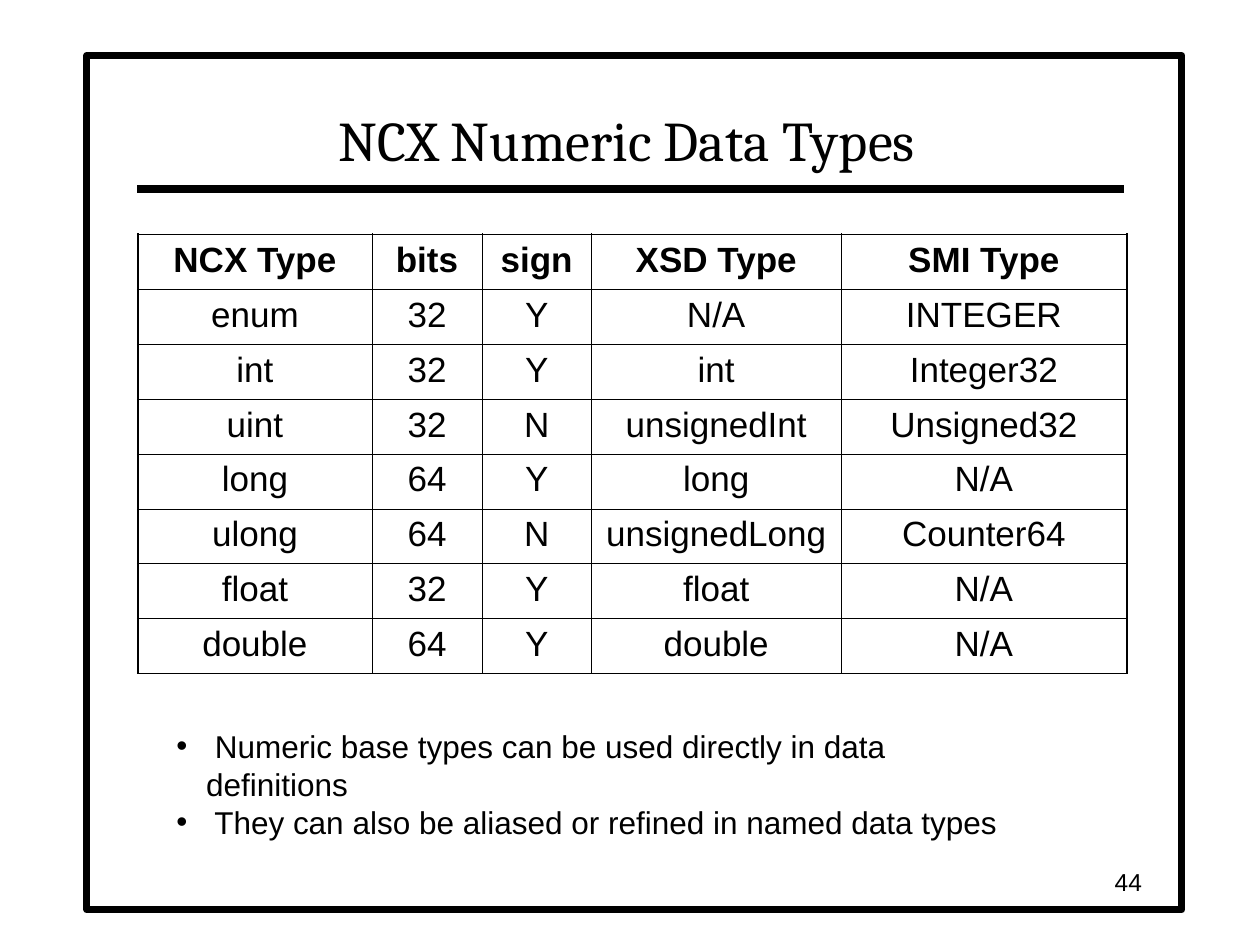
from typing import NamedTuple

from lxml.etree import SubElement
from pptx import Presentation
from pptx.dml.color import RGBColor
from pptx.enum.shapes import MSO_CONNECTOR as Connector, MSO_SHAPE as ShapeKind
from pptx.enum.text import MSO_ANCHOR as Anchor, MSO_AUTO_SIZE as AutoSize, PP_ALIGN as Align
from pptx.oxml.ns import qn
from pptx.util import Pt

COLORS = {"ink": "000000", "paper": "FFFFFF"}
OUTER_BORDER, INNER_BORDER = 1.08, 0.45
ROW_HEIGHT = 31.4


class Box(NamedTuple):
    left: float
    top: float
    width: float
    height: float

    def lengths(self) -> list[Pt]:
        return [Pt(value) for value in self]


class Column(NamedTuple):
    heading: str
    width: float
    values: list[str]


class TextStyle(NamedTuple):
    size: float
    font: str = "Arial"
    align: Align = Align.LEFT
    bold: bool = False


FRAME = Box(49.7, 31.7, 625.7, 488.2)
TITLE = Box(77.8, 36, 560.9, 66.2)
TABLE_LEFT, TABLE_TOP = 78.7, 133.9
NOTES = Box(93.6, 411.8, 494.6, 50.4)
PAGE_NUMBER = Box(509.8, 491.8, 149.8, 23.8)

COLUMNS = [
    Column("NCX Type", 134, ["enum", "int", "uint", "long", "ulong", "float", "double"]),
    Column("bits", 62.7, ["32", "32", "32", "64", "64", "32", "64"]),
    Column("sign", 62.7, ["Y", "Y", "N", "Y", "N", "Y", "Y"]),
    Column("XSD Type", 142.5, ["N/A", "int", "unsignedInt", "long", "unsignedLong", "float", "double"]),
    Column("SMI Type", 163.4, ["INTEGER", "Integer32", "Unsigned32", "N/A", "Counter64", "N/A", "N/A"]),
]
BULLETS = [
    " Numeric base types can be used directly in data definitions",
    " They can also be aliased or refined in named data types",
]


def color(name: str) -> RGBColor:
    return RGBColor.from_string(COLORS[name])


def place(shape, box: Box) -> None:
    shape.left, shape.top, shape.width, shape.height = box.lengths()


def format_text(text_frame, style: TextStyle) -> None:
    for paragraph in text_frame.paragraphs:
        paragraph.alignment = style.align
        paragraph.space_before = Pt(0)
        for run in paragraph.runs:
            run.font.name = style.font
            run.font.size = Pt(style.size)
            run.font.bold = style.bold
            run.font.color.rgb = color("ink")


def draw_frame(slide) -> None:
    """Draw the page border and title rule behind the placeholders."""
    frame = slide.shapes.add_shape(ShapeKind.RECTANGLE, *FRAME.lengths())
    frame.shadow.inherit = False
    frame.fill.solid()
    frame.fill.fore_color.rgb = color("paper")
    frame.line.color.rgb = color("ink")
    frame.line.width = Pt(4)

    rule = slide.shapes.add_connector(Connector.STRAIGHT, Pt(78.5), Pt(108), Pt(642.2), Pt(108))
    rule.line.color.rgb = color("ink")
    rule.line.width = Pt(4.5)
    SubElement(rule._element.spPr, qn("a:effectLst"))

    tree = slide.shapes._spTree
    for index, shape in enumerate((frame, rule), start=2):
        tree.insert(index, shape._element)


def draw_title(slide, text: str) -> None:
    title = slide.shapes.title
    place(title, TITLE)
    title.text_frame.text = text
    title.text_frame.auto_size = AutoSize.NONE
    title.text_frame.vertical_anchor = Anchor.BOTTOM
    format_text(title.text_frame, TextStyle(32, "Cambria", Align.CENTER))


def set_border(cell, side: str, width: float) -> None:
    properties = cell._tc.get_or_add_tcPr()
    line = SubElement(properties, qn(f"a:ln{side}"), w=str(Pt(width)))
    fill = SubElement(line, qn("a:solidFill"))
    SubElement(fill, qn("a:srgbClr"), val=COLORS["ink"])


def draw_type_table(slide) -> None:
    row_count = len(COLUMNS[0].values) + 1
    last_row, last_column = row_count - 1, len(COLUMNS) - 1
    box = Box(TABLE_LEFT, TABLE_TOP, sum(column.width for column in COLUMNS), row_count * ROW_HEIGHT)
    table = slide.shapes.add_table(row_count, len(COLUMNS), *box.lengths()).table
    table.first_row = table.horz_banding = False
    for row in table.rows:
        row.height = Pt(ROW_HEIGHT)
    for column_index, column in enumerate(COLUMNS):
        table.columns[column_index].width = Pt(column.width)
        for row_index, text in enumerate([column.heading, *column.values]):
            cell = table.cell(row_index, column_index)
            cell.text_frame.text = text
            format_text(cell.text_frame, TextStyle(20, align=Align.CENTER, bold=row_index == 0))
            on_edge = {
                "L": column_index == 0,
                "R": column_index == last_column,
                "T": row_index == 0,
                "B": row_index == last_row,
            }
            for side, outer in on_edge.items():
                set_border(cell, side, OUTER_BORDER if outer else INNER_BORDER)
            cell.fill.background()


def add_bullet(paragraph, indent: float) -> None:
    properties = paragraph._p.get_or_add_pPr()
    properties.set("marL", str(Pt(indent)))
    properties.set("indent", str(-Pt(indent)))
    bullet_color = SubElement(properties, qn("a:buClr"))
    SubElement(bullet_color, qn("a:srgbClr"), val=COLORS["ink"])
    SubElement(properties, qn("a:buFont"), typeface="Arial")
    SubElement(properties, qn("a:buChar"), char="•")


def draw_notes(slide) -> None:
    body = slide.placeholders[1]
    place(body, NOTES)
    text_frame = body.text_frame
    text_frame.text = "\n".join(BULLETS)
    text_frame.word_wrap = True
    text_frame.auto_size = AutoSize.NONE
    for paragraph in text_frame.paragraphs:
        add_bullet(paragraph, 17)
    format_text(text_frame, TextStyle(18))


def draw_page_number(slide, text: str) -> None:
    text_frame = slide.shapes.add_textbox(*PAGE_NUMBER.lengths()).text_frame
    text_frame.text = text
    text_frame.word_wrap = True
    text_frame.vertical_anchor = Anchor.MIDDLE
    format_text(text_frame, TextStyle(14, align=Align.RIGHT))


def main() -> None:
    presentation = Presentation()
    presentation.slide_width, presentation.slide_height = Pt(720), Pt(540)
    slide = presentation.slides.add_slide(presentation.slide_layouts[1])
    draw_frame(slide)
    draw_title(slide, "NCX Numeric Data Types")
    draw_type_table(slide)
    draw_notes(slide)
    draw_page_number(slide, "44")
    presentation.save("out.pptx")


if __name__ == "__main__":
    main()
